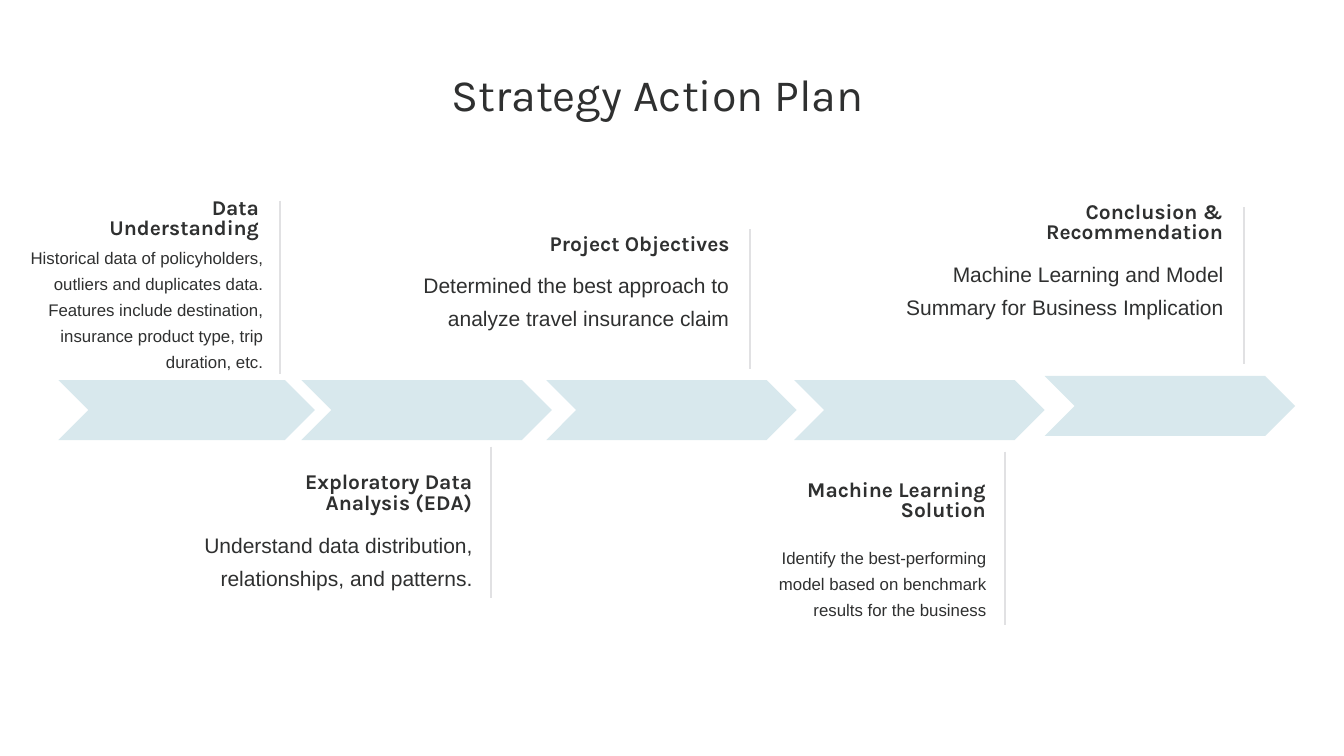
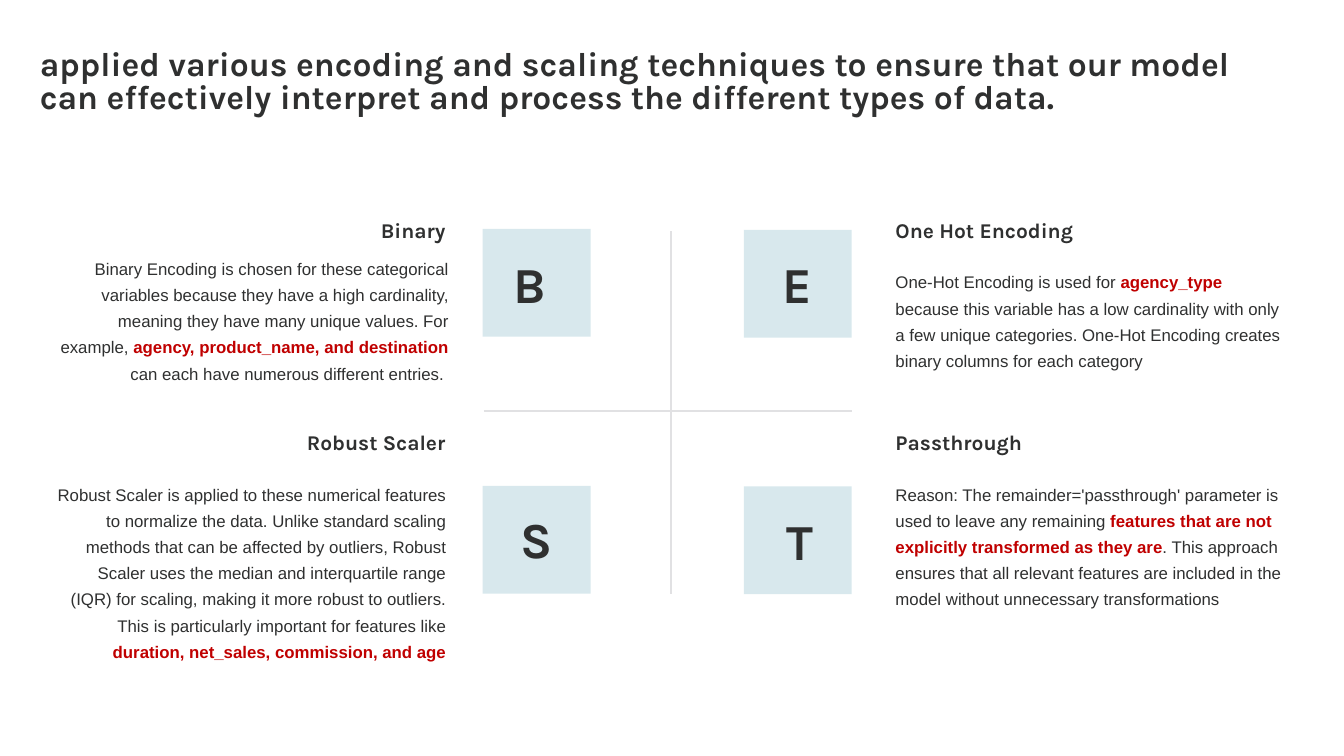
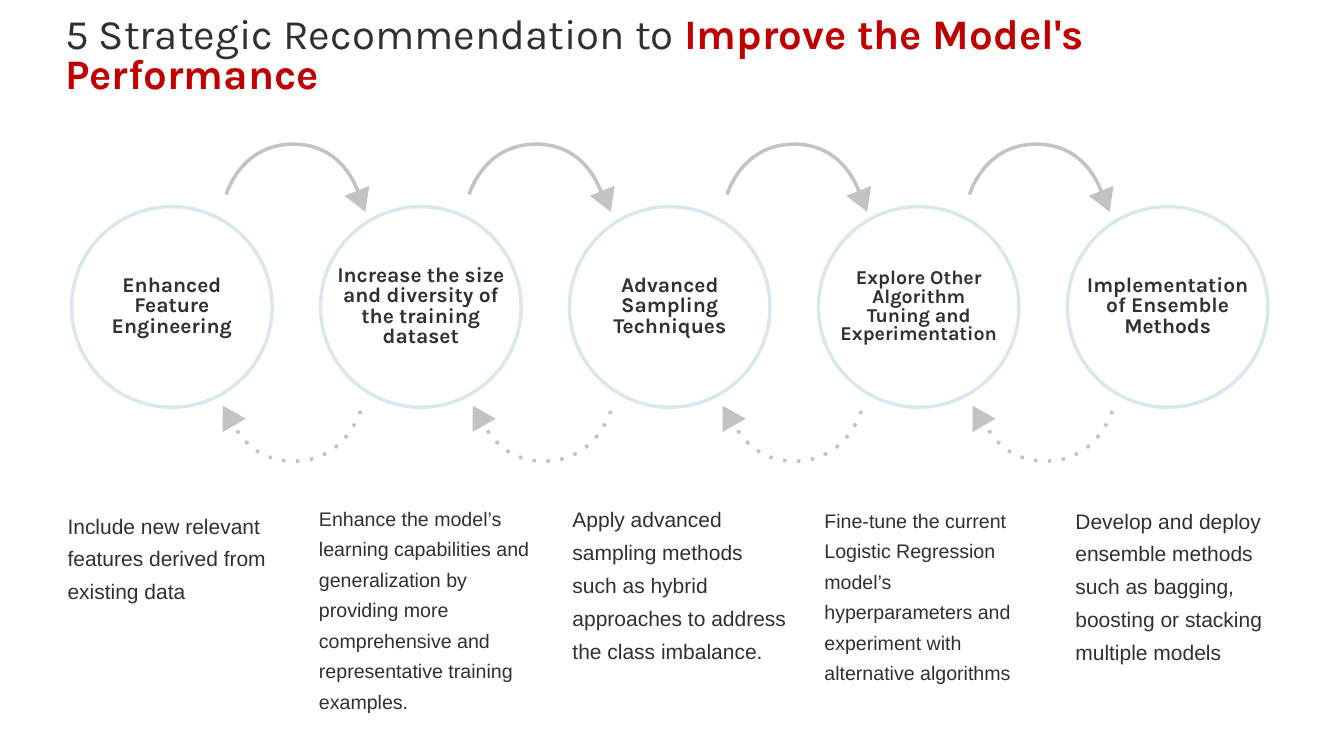
from typing import NamedTuple

from lxml import etree
from pptx import Presentation
from pptx.dml.color import RGBColor
from pptx.enum import dml, shapes, text
from pptx.oxml import ns
from pptx.util import Inches, Pt

INK = RGBColor(0x2F, 0x30, 0x30)
ACCENT = RGBColor(0xC0, 0x00, 0x00)
PALE_BLUE = RGBColor(0xD8, 0xE8, 0xED)
RULE_GREY = RGBColor(0xE1, 0xE1, 0xE3)
ARROW_GREY = RGBColor(0xC4, 0xC2, 0xC2)

HEADING_FONT, BODY_FONT = "Karla", "Arial"
LEFT, CENTER, RIGHT = text.PP_ALIGN.LEFT, text.PP_ALIGN.CENTER, text.PP_ALIGN.RIGHT
TOP, MIDDLE = text.MSO_ANCHOR.TOP, text.MSO_ANCHOR.MIDDLE
SHAPE = shapes.MSO_SHAPE


def add_text(slide, box, content, font=BODY_FONT, size=30, bold=False,
             align=LEFT, anchor=TOP, spacing=1.3):
    """Add a text box; newlines split paragraphs and ** encloses bold accent text."""
    frame = slide.shapes.add_textbox(*map(Inches, box)).text_frame
    frame.word_wrap = True
    frame.vertical_anchor = anchor
    frame.margin_left = frame.margin_right = frame.margin_top = frame.margin_bottom = 0
    for index, line in enumerate(content.split("\n")):
        paragraph = frame.add_paragraph() if index else frame.paragraphs[0]
        paragraph.alignment = align
        paragraph.line_spacing = spacing
        for part, words in enumerate(line.split("**")):
            if not words:
                continue
            accented = part % 2 == 1
            run = paragraph.add_run()
            run.text = words
            run.font.name = font
            run.font.size = Pt(size)
            run.font.bold = bold or accented
            run.font.color.rgb = ACCENT if accented else INK


def add_heading(slide, box, content, size=30, bold=True, align=LEFT, spacing=0.8):
    add_text(slide, box, content, font=HEADING_FONT, size=size, bold=bold,
             align=align, anchor=MIDDLE, spacing=spacing)


def style_shape(shape, fill=None, line=None, width=5):
    shape.shadow.inherit = False
    if fill is None:
        shape.fill.background()
    else:
        shape.fill.solid()
        shape.fill.fore_color.rgb = fill
    if line is None:
        shape.line.fill.background()
    else:
        shape.line.color.rgb = line
        shape.line.width = Pt(width)


def add_shape(slide, preset, box, fill=None, line=None, rotation=0):
    shape = slide.shapes.add_shape(preset, *map(Inches, box))
    style_shape(shape, fill, line)
    shape.rotation = rotation


def add_rule(slide, x1, y1, x2, y2):
    rule = slide.shapes.add_connector(shapes.MSO_CONNECTOR.STRAIGHT,
                                      *map(Inches, (x1, y1, x2, y2)))
    rule.line.color.rgb = RULE_GREY
    rule.line.width = Pt(3)
    etree.SubElement(rule._element.spPr, ns.qn("a:effectLst"))


# Strategy timeline

class Milestone(NamedTuple):
    heading: str
    body: str
    box: tuple
    heading_top: float
    heading_width: float
    heading_gap: float
    body_top: float
    body_gap: float
    size: int = 30


MILESTONES = [
    Milestone("Data Understanding",
              "Historical data of policyholders, outliers and duplicates data.\n"
              "Features include destination, insurance product type, trip duration, etc.",
              (0.55, 3.98, 5, 3.45), 0.15, 3.21, 0.41, 1.07, 0.33, 24),
    Milestone("Exploratory Data Analysis (EDA)",
              "Understand data distribution, relationships, and patterns.",
              (3.57, 8.86, 6.18, 3.01), 0.71, 4.21, 0.38, 1.18, 0.37),
    Milestone("Project Objectives",
              "Determined the best approach to analyze travel insurance claim",
              (7.61, 4.55, 7.28, 2.78), 0.1, 4.94, 0.41, 0.33, 0.42),
    Milestone("Machine Learning Solution",
              "Identify the best-performing model based on benchmark results for the business",
              (14.9, 8.96, 5.05, 3.45), 0.76, 4.67, 0.39, 1.53, 0.38, 24),
    Milestone("Conclusion & Recommendation",
              "Machine Learning and Model Summary for Business Implication",
              (17.83, 4.11, 6.85, 3.11), 0.09, 4.94, 0.41, 0.55, 0.4),
]
CHEVRONS = [(1.16, 7.54, 5.09), (5.98, 7.54, 4.97), (10.84, 7.54, 4.97),
            (15.76, 7.54, 4.97), (20.73, 7.46, 4.97)]


def add_milestone(slide, milestone):
    """Place right-aligned text beside the rule on the right edge of the box."""
    left, top, width, height = milestone.box
    right = left + width
    add_rule(slide, right, top, right, top + height)
    add_text(slide, (left, top + milestone.body_top, width - milestone.body_gap, 2.07),
             milestone.body, size=milestone.size, align=RIGHT, anchor=MIDDLE)
    heading_left = right - milestone.heading_gap - milestone.heading_width
    add_heading(slide, (heading_left, top + milestone.heading_top,
                        milestone.heading_width, 0.46), milestone.heading, align=RIGHT)


def build_timeline(slide):
    for milestone in MILESTONES:
        add_milestone(slide, milestone)
    add_heading(slide, (6.76, 1.53, 12.57, 0.86), "Strategy Action Plan",
                size=64, bold=False, align=CENTER)
    for left, top, width in CHEVRONS:
        add_shape(slide, SHAPE.CHEVRON, (left, top, width, 1.19), fill=PALE_BLUE)


# Encoding techniques

class Technique(NamedTuple):
    heading: str
    body: str
    heading_box: tuple
    body_corner: tuple
    align: int
    letter: str
    tile_corner: tuple
    letter_corner: tuple


TECHNIQUES = [
    Technique("Binary",
              "Binary Encoding is chosen for these categorical variables because they have "
              "a high cardinality, meaning they have many unique values. For example, "
              "**agency, product_name, and destination **"
              "can each have numerous different entries. ",
              (2.67, 4.23, 6.17, 0.75), (1.14, 5.01), RIGHT,
              "B ", (9.58, 4.54), (10.02, 5.01)),
    Technique("Robust Scaler",
              "Robust Scaler is applied to these numerical features to normalize the data. "
              "Unlike standard scaling methods that can be affected by outliers, Robust "
              "Scaler uses the median and interquartile range (IQR) for scaling, making it "
              "more robust to outliers. This is particularly important for features like "
              "**duration, net_sales, commission, and age**",
              (2.67, 8.44, 6.17, 0.75), (1.09, 9.49), RIGHT,
              "S", (9.58, 9.64), (10.02, 10.08)),
    Technique("One Hot Encoding",
              "One-Hot Encoding is used for **agency_type** because this variable has a low "
              "cardinality with only a few unique categories. One-Hot Encoding creates "
              "binary columns for each category",
              (17.77, 4.23, 6.17, 0.75), (17.77, 5.28), LEFT,
              "E", (14.76, 4.56), (15.2, 5.01)),
    Technique("Passthrough",
              "Reason: The remainder='passthrough' parameter is used to leave any remaining "
              "**features that are not explicitly transformed as they are**. This approach "
              "ensures that all relevant features are included in the model without "
              "unnecessary transformations",
              (17.77, 8.44, 6.92, 0.75), (17.77, 9.49), LEFT,
              "T", (14.76, 9.65), (15.24, 10.11)),
]


def add_technique(slide, technique):
    add_heading(slide, technique.heading_box, technique.heading, align=technique.align)
    add_text(slide, (*technique.body_corner, 7.76, 2.68), technique.body,
             size=24, align=technique.align)
    add_shape(slide, SHAPE.RECTANGLE, (*technique.tile_corner, 2.14, 2.14), fill=PALE_BLUE)
    add_heading(slide, (*technique.letter_corner, 1.26, 1.21), technique.letter,
                size=72, align=CENTER, spacing=1.0)


def build_techniques(slide):
    add_heading(slide, (0.79, 1.17, 24.51, 0.97),
                "applied various encoding and scaling techniques to ensure that our model "
                "can effectively interpret and process the different types of data.", size=48)
    for technique in TECHNIQUES:
        add_technique(slide, technique)
    add_rule(slide, 9.6, 8.15, 16.9, 8.15)
    add_rule(slide, 13.31, 4.59, 13.31, 11.78)


# Recommendations

CIRCLE, CIRCLE_PITCH = 3.98, 4.94
ARC_START = (0, 1)
ARC_CURVES = [((0, 1), (0.28, 0), (1.33, 0)),
              ((2.38, 0), (2.64, 1.02), (2.64, 1.02))]
# Left edges of each arc and of its arrowhead
FORWARD_ARROWS = [(4.49, 6.9), (9.31, 11.77), (14.43, 16.86), (19.24, 21.67)]
BACK_ARROWS = [(4.51, 4.27), (9.48, 9.23), (14.45, 14.19), (19.43, 19.15)]


class Recommendation(NamedTuple):
    heading: str
    body: str
    body_corner: tuple
    heading_box: tuple = (3.39, 1.21)
    heading_size: int = 30
    body_size: int = 30


RECOMMENDATIONS = [
    Recommendation("Enhanced Feature Engineering",
                   "Include new relevant features derived from existing data", (1.34, 10.03)),
    Recommendation("Increase the size and diversity of the training dataset",
                   "Enhance the model’s learning capabilities and generalization by providing "
                   "more comprehensive and representative training examples.",
                   (6.33, 9.91), (3.39, 0.81), body_size=28),
    Recommendation("Advanced Sampling Techniques",
                   "Apply advanced sampling methods such as hybrid approaches to address "
                   "the class imbalance.", (11.36, 9.91), (3.39, 0.4)),
    Recommendation("Explore Other Algorithm Tuning and Experimentation",
                   "Fine-tune the current Logistic Regression model’s hyperparameters and "
                   "experiment with alternative algorithms",
                   (16.36, 9.95), (3.19, 1.65), 28, 28),
    Recommendation("Implementation of Ensemble Methods",
                   "Develop and deploy ensemble methods such as bagging, boosting or stacking "
                   "multiple models", (21.34, 9.93), (3.65, 1.65)),
]


def bend_segments(freeform, curves):
    """Turn each straight segment of the outline into a cubic curve."""
    segments = list(freeform._element.iter(ns.qn("a:lnTo")))
    for segment, curve in zip(segments, curves):
        bend = etree.Element(ns.qn("a:cubicBezTo"))
        for x, y in curve:
            etree.SubElement(bend, ns.qn("a:pt"), x=str(Inches(x)), y=str(Inches(y)))
        segment.getparent().replace(segment, bend)


def add_arrow(slide, left, top, head_left, back=False):
    """Draw a curved arrow: solid over the circles, or dotted and turned under them."""
    start, *ends = [(Inches(left + x), Inches(top + y))
                    for x, y in (ARC_START, *(curve[-1] for curve in ARC_CURVES))]
    builder = slide.shapes.build_freeform(*start, scale=1.0)
    builder.add_line_segments(ends, close=False)
    arc = builder.convert_to_shape()
    bend_segments(arc, ARC_CURVES)
    style_shape(arc, line=ARROW_GREY)
    if back:
        arc.rotation = 180
        arc.line.dash_style = dml.MSO_LINE.ROUND_DOT
        next(arc._element.iter(ns.qn("a:prstDash"))).set("val", "dot")
    head_drop, rotation = (-0.11, 330.1) if back else (0.91, 158.1)
    add_shape(slide, SHAPE.ISOSCELES_TRIANGLE, (head_left, top + head_drop, 0.53, 0.45),
              fill=ARROW_GREY, rotation=rotation)


def add_recommendation(slide, item, left, top):
    add_shape(slide, SHAPE.OVAL, (left, top, CIRCLE, CIRCLE), line=PALE_BLUE)
    width, height = item.heading_box
    add_heading(slide, (left + (CIRCLE - width) / 2, top + (CIRCLE - height) / 2,
                        width, height), item.heading, size=item.heading_size, align=CENTER)
    add_text(slide, (*item.body_corner, 4.36, 3.46), item.body, size=item.body_size)


def build_recommendations(slide):
    add_heading(slide, (1.29, 0.66, 24.08, 0.97),
                "5 Strategic Recommendation to **Improve the Model's Performance**",
                size=60, bold=False)
    for index, item in enumerate(RECOMMENDATIONS):
        add_recommendation(slide, item, 1.42 + CIRCLE_PITCH * index, 4.1)
    for left, head_left in FORWARD_ARROWS:
        add_arrow(slide, left, 2.86, head_left)
    for left, head_left in BACK_ARROWS:
        add_arrow(slide, left, 8.13, head_left, back=True)


def main():
    presentation = Presentation()
    presentation.slide_width, presentation.slide_height = Inches(26.67), Inches(15)
    for build in (build_timeline, build_techniques, build_recommendations):
        build(presentation.slides.add_slide(presentation.slide_layouts[6]))
    presentation.save("out.pptx")


if __name__ == "__main__":
    main()
